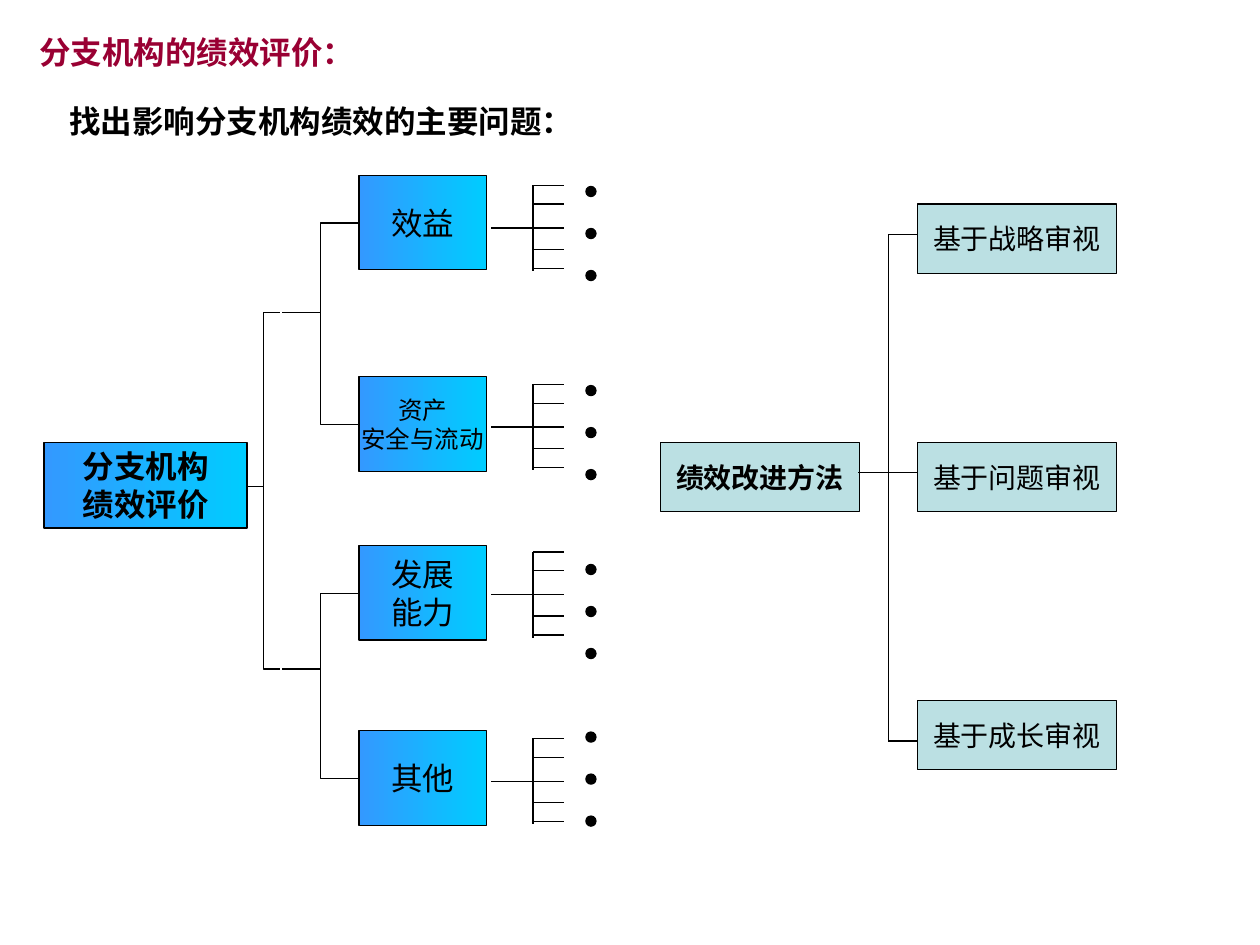
"""Build the branch performance review slide with its two tree diagrams."""
from lxml.etree import SubElement
from pptx import Presentation
from pptx.dml.color import RGBColor
from pptx.enum.shapes import MSO_CONNECTOR, MSO_SHAPE
from pptx.enum.text import MSO_ANCHOR, MSO_AUTO_SIZE, PP_ALIGN
from pptx.oxml.ns import qn
from pptx.util import Inches, Pt


class Theme:
    red = RGBColor(0x99, 0x00, 0x33)
    black = RGBColor(0x00, 0x00, 0x00)
    blue = RGBColor(0x33, 0x99, 0xFF)
    cyan = RGBColor(0x00, 0xCC, 0xFF)
    teal = RGBColor(0xBB, 0xE0, 0xE3)
    sans = "Arial"
    serif = "Times New Roman"
    head = Pt(18)
    label = Pt(16)
    small = Pt(14)
    line = Pt(0.75)


def wire(shapes, x1, y1, x2, y2, kind=MSO_CONNECTOR.STRAIGHT):
    link = shapes.add_connector(kind, Inches(x1), Inches(y1), Inches(x2), Inches(y2))
    link.line.color.rgb = Theme.black
    link.line.width = Theme.line
    SubElement(link._element.spPr, qn("a:effectLst"))


def box(text, x, y, w, h, size, face, bold=False, fade=False):
    shape = slide.shapes.add_shape(MSO_SHAPE.RECTANGLE, Inches(x), Inches(y), Inches(w), Inches(h))
    shape.shadow.inherit = False
    shape.line.color.rgb = Theme.black
    shape.line.width = Theme.line
    if fade:
        shape.fill.gradient()
        shape.fill.gradient_angle = 0
        for stop, color in zip(shape.fill.gradient_stops, (Theme.blue, Theme.cyan)):
            stop.color.rgb = color
    else:
        shape.fill.solid()
        shape.fill.fore_color.rgb = Theme.teal
    frame = shape.text_frame
    frame.text = text
    frame.word_wrap = False
    frame.vertical_anchor = MSO_ANCHOR.MIDDLE
    for para in frame.paragraphs:
        para.alignment = PP_ALIGN.CENTER
        para.font.size = size
        para.font.name = face
        para.font.bold = bold
        para.font.color.rgb = Theme.black


deck = Presentation()
deck.slide_width = Inches(10)
deck.slide_height = Inches(7.5)
slide = deck.slides.add_slide(deck.slide_layouts[5])
shapes = slide.shapes

title = shapes.title
title.left, title.top, title.width, title.height = map(Inches, (0.21, 0.21, 2.7, 0.7))
lead = shapes.add_textbox(Inches(0.45), Inches(0.76), Inches(4.2), Inches(0.4))
heads = (
    (title, "分支机构的绩效评价：", Theme.red),
    (lead, "找出影响分支机构绩效的主要问题：", Theme.black),
)
for shape, text, color in heads:
    frame = shape.text_frame
    frame.text = text
    frame.word_wrap = False
    frame.auto_size = MSO_AUTO_SIZE.NONE
    frame.vertical_anchor = MSO_ANCHOR.TOP
    para = frame.paragraphs[0]
    para.alignment = PP_ALIGN.LEFT
    para.font.size = Theme.head
    para.font.name = Theme.sans
    para.font.bold = True
    para.font.color.rgb = color

box("分支机构\n绩效评价", 0.35, 3.51, 1.61, 0.68, Theme.head, Theme.serif, True, True)
nodes = (2.48, 5.31)
for node in nodes:
    wire(shapes, 1.96, 3.86, 2.22, node, MSO_CONNECTOR.ELBOW)

factors = (
    ("效益", 1.39, 1.47, 1.48, Theme.head),
    ("资产\n安全与流动", 2.99, 3.05, 3.06, Theme.small),
    ("发展\n能力", 4.33, 4.38, 4.48, Theme.head),
    ("其他", 5.8, 5.86, 5.81, Theme.head),
)
for i, (text, top, fork, dots, size) in enumerate(factors):
    box(text, 2.85, top, 1.01, 0.75, size, Theme.serif, fade=True)
    wire(shapes, 2.24, nodes[i // 2], 2.85, top + 0.38, MSO_CONNECTOR.ELBOW)
    group = shapes.add_group_shape().shapes
    wire(group, 3.9, fork + 0.34, 4.23, fork + 0.34)
    wire(group, 4.23, fork, 4.23, fork + 0.68)
    for step in (0, 0.15, 0.34, 0.51, 0.66):
        wire(group, 4.23, fork + step, 4.48, fork + step)
    for j in range(3):
        dot = shapes.add_shape(
            MSO_SHAPE.OVAL, Inches(4.65), Inches(dots + j / 3), Inches(0.08), Inches(0.08)
        )
        dot.shadow.inherit = False
        dot.fill.solid()
        dot.fill.fore_color.rgb = Theme.black
        dot.line.color.rgb = Theme.black
        dot.line.width = Theme.line

box("绩效改进方法", 5.24, 3.51, 1.58, 0.55, Theme.label, Theme.sans, True)
wire(shapes, 7.05, 1.86, 7.05, 5.88)
methods = (
    ("基于战略审视", 1.62, 7.05, 1.86),
    ("基于问题审视", 3.51, 6.81, 3.75),
    ("基于成长审视", 5.56, 7.05, 5.88),
)
for text, top, start, y in methods:
    wire(shapes, start, y, 7.28, y)
    box(text, 7.28, top, 1.58, 0.55, Theme.label, Theme.sans)

deck.save("out.pptx")
